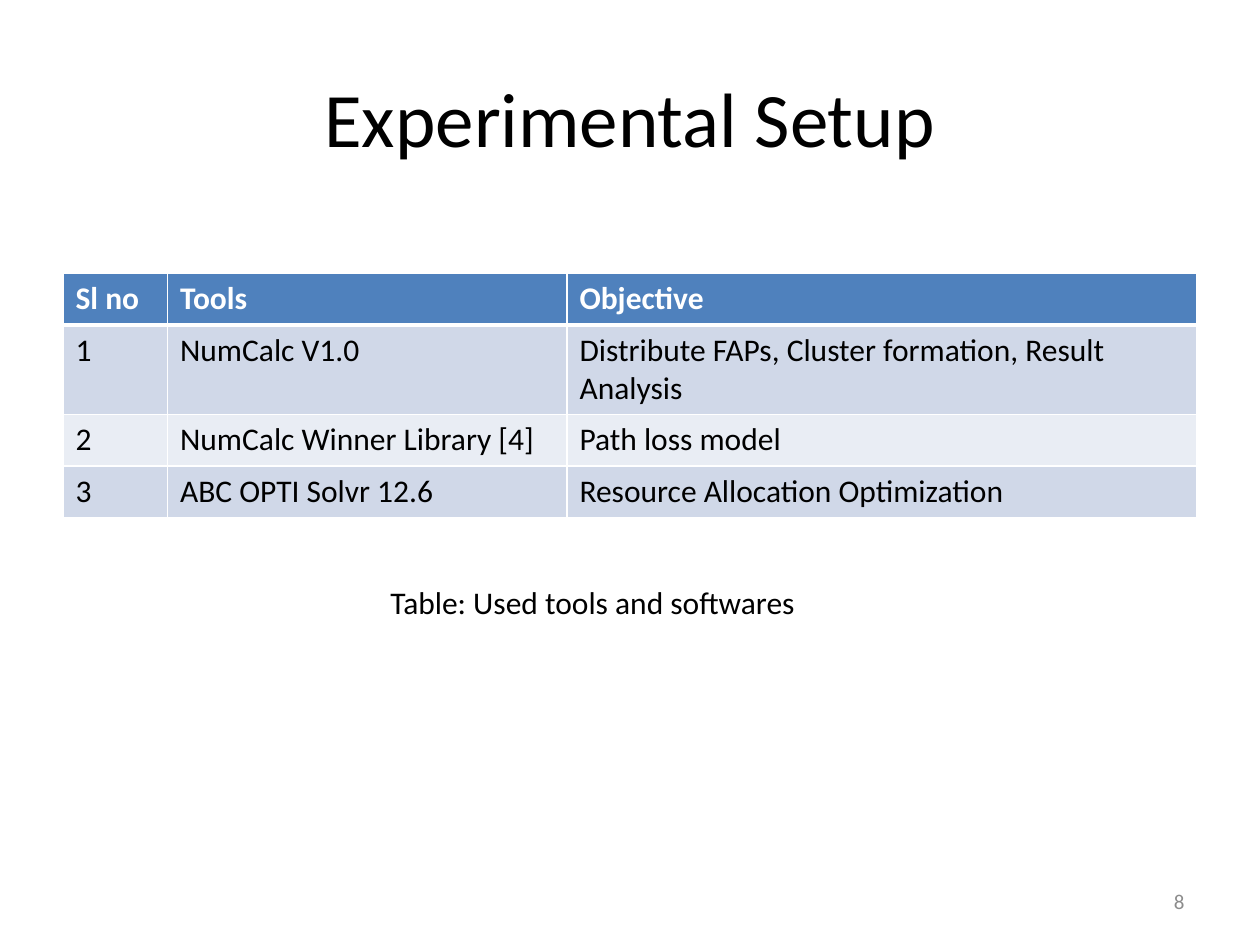
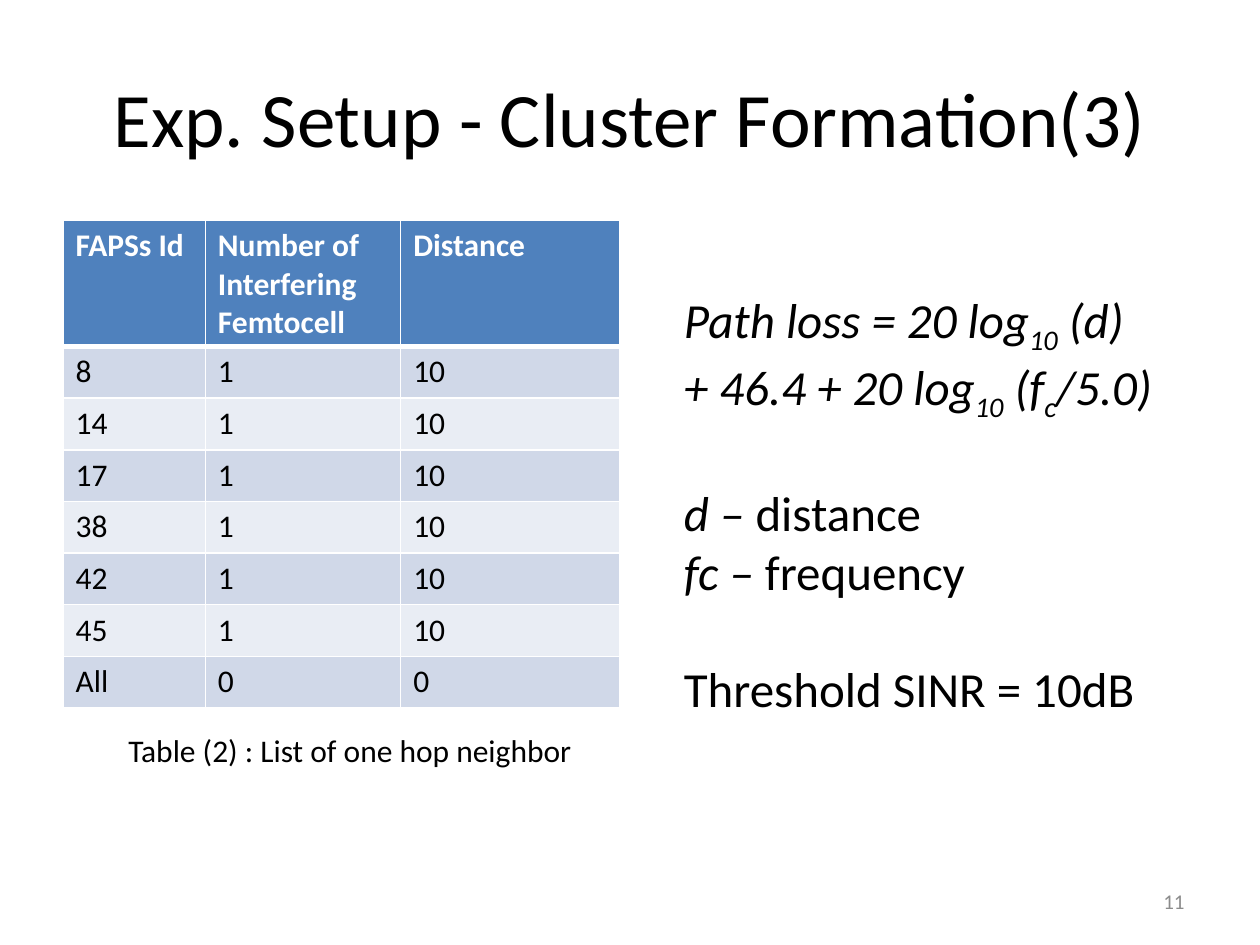
import pptx
import pptx.dml.color
import pptx.enum.text
import pptx.oxml
import pptx.oxml.ns
import pptx.util

EMU_PER_PX = 9144
FONT = "Calibri"
BLACK = "000000"
WHITE = "FFFFFF"
GREY = "8C8C8C"
HEADER_BLUE = "4F81BD"
BANDS = ("D0D8E8", "E9EDF4")
TITLE_ONLY_LAYOUT = 5
ROW_HEIGHT = 41
ALIGN = pptx.enum.text.PP_ALIGN
ANCHOR = pptx.enum.text.MSO_ANCHOR
AUTO_SIZE = pptx.enum.text.MSO_AUTO_SIZE


def px(length):
    return pptx.util.Emu(length * EMU_PER_PX)


def rgb(color):
    return pptx.dml.color.RGBColor.from_string(color)


def style_runs(paragraph, size, color=BLACK, bold=False):
    for run in paragraph.runs:
        run.font.name = FONT
        run.font.size = pptx.util.Pt(size)
        run.font.color.rgb = rgb(color)
        run.font.bold = bold


def add_title(slide, text):
    title = slide.shapes.title
    title.left, title.top, title.width, title.height = map(px, (50, 30, 900, 125))
    title.text_frame.text = text
    title.text_frame.vertical_anchor = ANCHOR.MIDDLE
    paragraph = title.text_frame.paragraphs[0]
    paragraph.alignment = ALIGN.CENTER
    style_runs(paragraph, 44)


def add_text_box(slide, box, wrap):
    text_frame = slide.shapes.add_textbox(*map(px, box)).text_frame
    text_frame.word_wrap = wrap
    return text_frame


def add_caption(slide, box, text):
    text_frame = add_text_box(slide, box, False)
    text_frame.auto_size = AUTO_SIZE.SHAPE_TO_FIT_TEXT
    text_frame.text = text
    style_runs(text_frame.paragraphs[0], 18)


def add_page_number(slide, number):
    text_frame = add_text_box(slide, (717, 695, 233, 40), True)
    text_frame.vertical_anchor = ANCHOR.MIDDLE
    text_frame.text = str(number)
    paragraph = text_frame.paragraphs[0]
    paragraph.alignment = ALIGN.RIGHT
    style_runs(paragraph, 12, GREY)


def set_borders(cell, top, bottom):
    properties = cell._tc.get_or_add_tcPr()
    for side, points in (("L", 1), ("R", 1), ("T", top), ("B", bottom)):
        properties.append(pptx.oxml.parse_xml(
            f'<a:ln{side} {pptx.oxml.ns.nsdecls("a")} w="{pptx.util.Pt(points)}">'
            f'<a:solidFill><a:srgbClr val="{WHITE}"/></a:solidFill></a:ln{side}>'))


def format_cell(cell, row_index, text):
    header = row_index == 0
    cell.text_frame.text = text
    style_runs(cell.text_frame.paragraphs[0], 18, WHITE if header else BLACK, header)
    set_borders(cell, 3 if row_index == 1 else 1, 3 if header else 1)
    cell.fill.solid()
    cell.fill.fore_color.rgb = rgb(HEADER_BLUE if header else BANDS[(row_index - 1) % 2])


def add_banded_table(slide, left, top, widths, rows, tall_row, tall_height):
    heights = [tall_height if index == tall_row else ROW_HEIGHT for index in range(len(rows))]
    table = slide.shapes.add_table(
        len(rows), len(widths), px(left), px(top), px(sum(widths)), px(sum(heights))).table
    for column, width in zip(table.columns, widths):
        column.width = px(width)
    for row_index, texts in enumerate(rows):
        table.rows[row_index].height = px(heights[row_index])
        for column_index, text in enumerate(texts):
            format_cell(table.cell(row_index, column_index), row_index, text)


def add_formula(slide, box, lines):
    text_frame = add_text_box(slide, box, True)
    text_frame.auto_size = AUTO_SIZE.SHAPE_TO_FIT_TEXT
    for index, (space_before, parts) in enumerate(lines):
        paragraph = text_frame.add_paragraph() if index else text_frame.paragraphs[0]
        paragraph.space_before = pptx.util.Pt(space_before)
        for text, style in parts:
            run = paragraph.add_run()
            run.text = text
            run.font.italic = style != "plain"
            if style == "subscript":
                run._r.get_or_add_rPr().set("baseline", "-25000")
        style_runs(paragraph, 28)


def add_slide(presentation, title, number):
    slide = presentation.slides.add_slide(presentation.slide_layouts[TITLE_ONLY_LAYOUT])
    add_title(slide, title)
    add_page_number(slide, number)
    return slide


def build_tools_slide(presentation):
    slide = add_slide(presentation, "Experimental Setup", 8)
    tools = [
        ("Sl no", "Tools", "Objective"),
        ("1", "NumCalc V1.0", "Distribute FAPs, Cluster formation, Result Analysis"),
        ("2", "NumCalc Winner Library [4]", "Path loss model"),
        ("3", "ABC OPTI Solvr 12.6", "Resource Allocation Optimization"),
    ]
    add_banded_table(slide, 50, 217, (83, 317, 500), tools, 1, 71)
    add_caption(slide, (300, 458, 345, 40), "Table: Used tools and softwares")


def build_cluster_slide(presentation):
    slide = add_slide(presentation, "Exp. Setup - Cluster Formation(3)", 11)
    neighbors = [("FAPSs Id", "Number of Interfering Femtocell", "Distance")]
    neighbors += [(str(access_point), "1", "10") for access_point in (8, 14, 17, 38, 42, 45)]
    neighbors.append(("All", "0", "0"))
    add_banded_table(slide, 50, 175, (113, 155, 174), neighbors, 0, 100)
    add_caption(slide, (92, 575, 376, 40), "Table (2) : List of one hop neighbor")
    add_formula(slide, (533, 225, 467, 340), [
        (0, [("Path loss = 20 log", "italic"), ("10", "subscript"), (" (d)", "italic")]),
        (0, [("+ 46.4 + 20 log", "italic"), ("10", "subscript"), (" (f", "italic"),
             ("c", "subscript"), ("/5.0)", "italic")]),
        (34, [("d – ", "italic"), ("distance", "plain")]),
        (0, [("fc – ", "italic"), ("frequency", "plain")]),
        (33, [("Threshold SINR = 10dB", "plain")]),
    ])


def main():
    presentation = pptx.Presentation()
    presentation.slide_width = px(1000)
    presentation.slide_height = px(750)
    build_tools_slide(presentation)
    build_cluster_slide(presentation)
    presentation.save("out.pptx")


if __name__ == "__main__":
    main()
